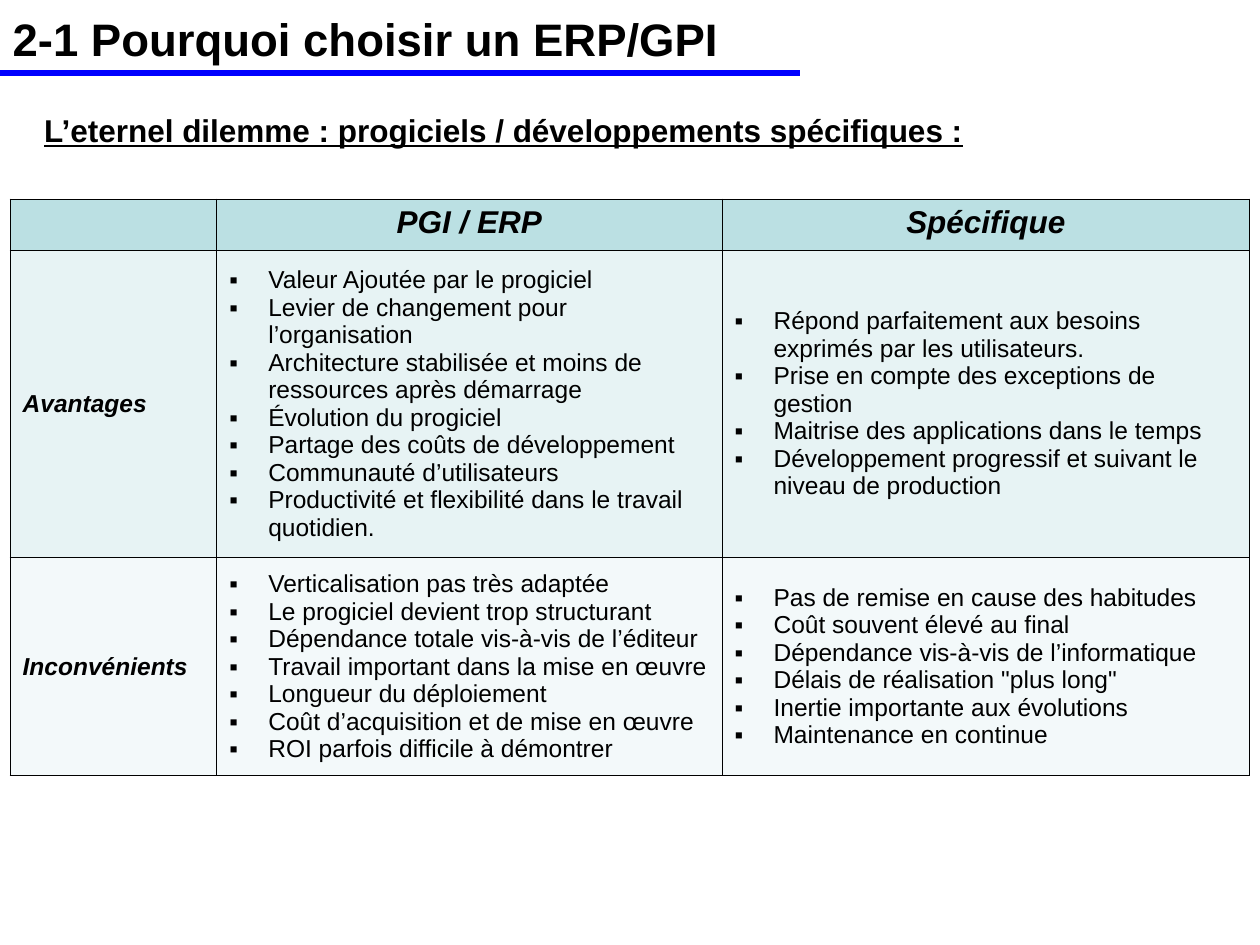
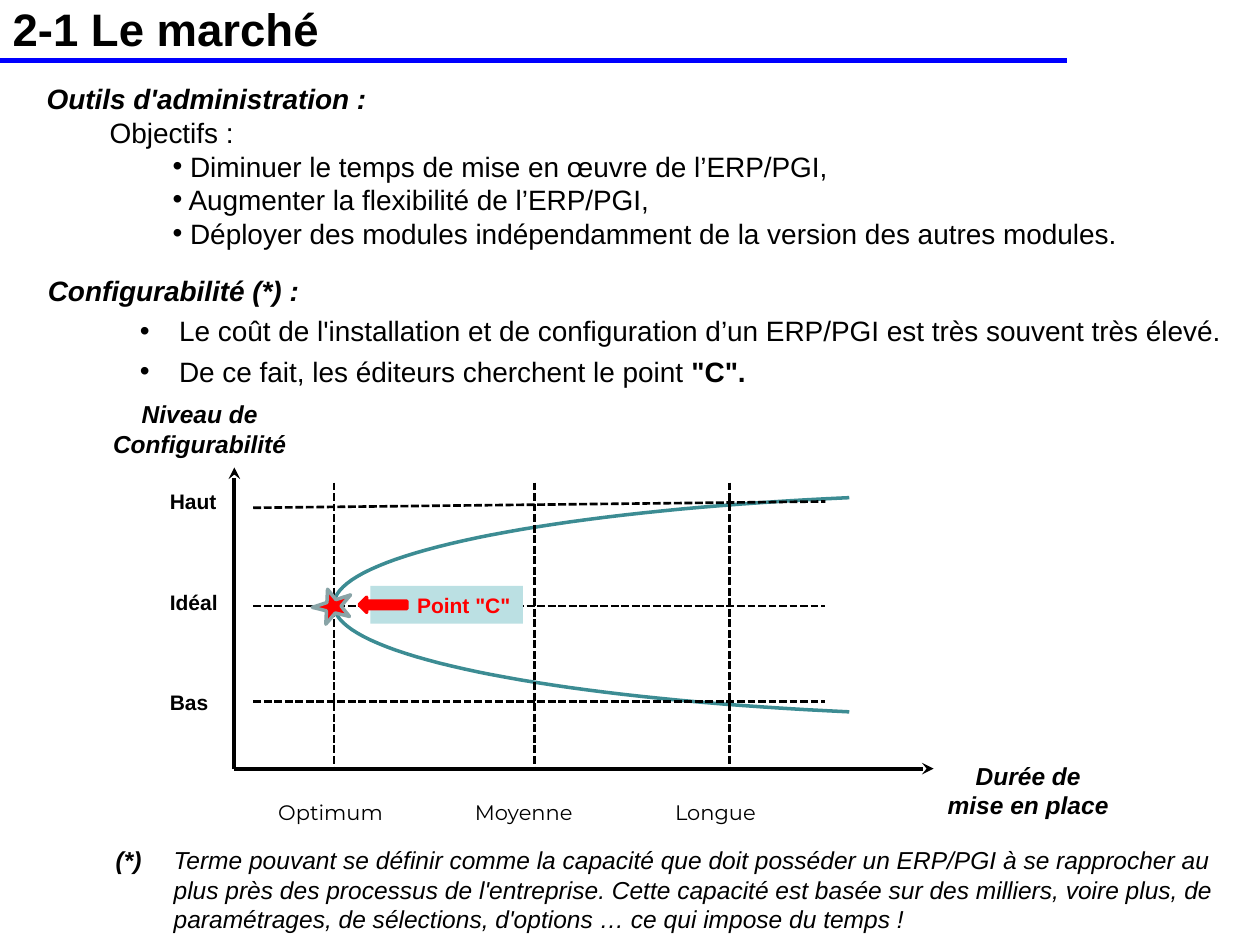
import math
from lxml import etree
from pptx import Presentation, util as u
from pptx.dml import color
from pptx.enum import dml, shapes, text
from pptx.oxml import ns

PX = 9144
BLACK, RED, BLUE = "000000", "FF0000", "0000FF"
AQUA, TEAL, GREY = "BBE0E3", "3C8C93", "89A4A7"
LEFT, MID, RIGHT = text.PP_ALIGN.LEFT, text.PP_ALIGN.CENTER, text.PP_ALIGN.RIGHT


def px(*vals):
    return [u.Emu(round(v * PX)) for v in vals]


def rgb(code):
    return color.RGBColor.from_string(code)


def node(up, tag, **attrs):
    return etree.SubElement(up, ns.qn(tag), attrs)


class Deck:
    font = "Arial"

    def __init__(self):
        self.prs = Presentation()
        self.prs.slide_width, self.prs.slide_height = px(1000, 750)
        self.slide = None

    def page(self, kind, title, high, rule, end):
        self.slide = self.prs.slides.add_slide(self.prs.slide_layouts[kind])
        self.holder(0, (0, 0, 1000, high), [dict(txt=title, size=26, bold=True)],
                    text.MSO_ANCHOR.MIDDLE)
        self.line(0, rule, end, rule, BLUE, 3)

    def holder(self, idx, box, paras, anchor=text.MSO_ANCHOR.TOP):
        hold = self.slide.placeholders[idx]
        hold.left, hold.top, hold.width, hold.height = px(*box)
        self.flow(hold.text_frame, paras, anchor)

    def flow(self, frame, paras, anchor=text.MSO_ANCHOR.TOP, wrap=True):
        frame.word_wrap = wrap
        frame.auto_size = text.MSO_AUTO_SIZE.NONE
        frame.vertical_anchor = anchor
        self.paras(frame, paras)

    def paras(self, frame, paras):
        for i, look in enumerate(paras):
            para = frame.add_paragraph() if i else frame.paragraphs[0]
            self.para(para, **look)

    def para(self, para, txt, size=14, bold=False, ital=False, under=None, tint=BLACK,
             face=None, align=LEFT, level=0, lead=0, hang=0, dot=None, above=0):
        para.level = level
        para.alignment = align
        para.space_before = u.Pt(above)
        ppr = para._p.get_or_add_pPr()
        ppr.set("marL", str(lead * PX))
        ppr.set("indent", str(hang * PX))
        if dot:
            node(node(ppr, "a:buClr"), "a:srgbClr", val=BLACK)
            node(ppr, "a:buFont", typeface=self.font)
            node(ppr, "a:buChar", char=dot)
        else:
            node(ppr, "a:buNone")
        for i, part in enumerate(txt.split("|")):
            if not part:
                continue
            run = para.add_run()
            run.text = part
            font = run.font
            font.name, font.size = face or self.font, u.Pt(size)
            font.bold, font.italic = bold != bool(i % 2), ital
            font.underline = under
            font.color.rgb = rgb(tint)

    def label(self, box, lines, wrap=True, **look):
        area = self.slide.shapes.add_textbox(*px(*box))
        paras = [dict(txt=t, **look) for t in lines]
        self.flow(area.text_frame, paras, wrap=wrap)

    def line(self, x1, y1, x2, y2, tint=BLACK, wide=1.5, dash=False, head=False):
        link = self.slide.shapes.add_connector(
            shapes.MSO_CONNECTOR.STRAIGHT, *px(x1, y1, x2, y2))
        link.line.color.rgb = rgb(tint)
        link.line.width = u.Pt(wide)
        if dash:
            link.line.dash_style = dml.MSO_LINE.SQUARE_DOT
        props = link._element.spPr
        if head:
            node(props.find(ns.qn("a:ln")), "a:tailEnd", type="stealth")
        node(props, "a:effectLst")

    def paint(self, shape, fill=None, edge=None):
        shape.shadow.inherit = False
        if fill:
            shape.fill.solid()
            shape.fill.fore_color.rgb = rgb(fill)
        else:
            shape.fill.background()
        if edge:
            shape.line.color.rgb = rgb(edge)
            shape.line.width = u.Pt(2)
        else:
            shape.line.fill.background()

    def shape(self, kind, box, fill, edge=None, turn=0):
        form = self.slide.shapes.add_shape(kind, *px(*box))
        form.rotation = turn
        self.paint(form, fill, edge)
        return form

    def curve(self, dots, tint):
        first, *rest = [px(*dot) for dot in dots]
        pen = self.slide.shapes.build_freeform(*first)
        pen.add_line_segments(rest, close=False)
        self.paint(pen.convert_to_shape(), edge=tint)

    def cell(self, cell, paras, fill, anchor):
        cell.vertical_anchor = anchor
        self.paras(cell.text_frame, paras)
        props = cell._tc.get_or_add_tcPr()
        for side in ("a:lnL", "a:lnR", "a:lnT", "a:lnB"):
            edge = node(props, side, w=str(u.Pt(0.45)))
            node(node(edge, "a:solidFill"), "a:srgbClr", val=BLACK)
        cell.fill.solid()
        cell.fill.fore_color.rgb = rgb(fill)

    def table(self, box, cols, rows, heads, body, fills):
        grid = self.slide.shapes.add_table(len(rows), len(cols), *px(*box)).table
        grid.first_row = grid.horz_banding = False
        for col, wide in zip(grid.columns, px(*cols)):
            col.width = wide
        for row, high in zip(grid.rows, px(*rows)):
            row.height = high
        bold = dict(bold=True, ital=True)
        for c, head in enumerate(heads):
            paras = [dict(txt=head, size=18, align=MID, **bold)]
            self.cell(grid.cell(0, c), paras, fills[0], text.MSO_ANCHOR.TOP)
        for r, (name, *lists) in enumerate(body, 1):
            sets = [[dict(txt=name, **bold)]]
            sets += [[dict(txt=t, lead=31, hang=-31, dot="▪") for t in items]
                     for items in lists]
            for c, paras in enumerate(sets):
                self.cell(grid.cell(r, c), paras, fills[r], text.MSO_ANCHOR.MIDDLE)


def choice(deck):
    deck.page(1, "2-1 Pourquoi choisir un ERP/GPI", 60, 58, 635)
    deck.holder(1, (25, 83, 942, 40), [dict(
        txt="L’eternel dilemme : progiciels / développements spécifiques :",
        size=18, bold=True, under=True)])
    body = [
        ("Avantages",
         ["Valeur Ajoutée par le progiciel",
          "Levier de changement pour l’organisation",
          "Architecture stabilisée et moins de ressources après démarrage",
          "Évolution du progiciel",
          "Partage des coûts de développement",
          "Communauté d’utilisateurs",
          "Productivité et flexibilité dans le travail quotidien."],
         ["Répond parfaitement aux besoins exprimés par les utilisateurs.",
          "Prise en compte des exceptions de gestion",
          "Maitrise des applications dans le temps",
          "Développement progressif et suivant le niveau de production"]),
        ("Inconvénients",
         ["Verticalisation pas très adaptée",
          "Le progiciel devient trop structurant",
          "Dépendance totale vis-à-vis de l’éditeur",
          "Travail important dans la mise en œuvre",
          "Longueur du déploiement",
          "Coût d’acquisition et de mise en œuvre",
          "ROI parfois difficile à démontrer"],
         ["Pas de remise en cause des habitudes",
          "Coût souvent élevé au final",
          "Dépendance vis-à-vis de l’informatique",
          "Délais de réalisation \"plus long\"",
          "Inertie importante aux évolutions",
          "Maintenance en continue"]),
    ]
    deck.table((8, 158, 984, 457), (164, 401, 419), (40, 244, 173),
               ("", "PGI / ERP", "Spécifique"), body, (AQUA, "E7F3F4", "F3F9FA"))


def market(deck):
    deck.page(3, "2-1 Le marché", 45, 48, 847)
    strong = dict(size=16, bold=True, ital=True)
    goal = dict(size=16, level=2, lead=98, hang=2, dot="•")
    deck.holder(1, (27, 60, 945, 144), [
        dict(txt="Outils d'administration :", **strong),
        dict(txt="Objectifs :", size=16, level=1, lead=50),
        dict(txt=" Diminuer le temps de mise en œuvre de l’ERP/PGI,", **goal),
        dict(txt=" Augmenter la flexibilité de l’ERP/PGI,", **goal),
        dict(txt=" Déployer des modules indépendamment de la version des autres modules.",
             **goal)])
    fact = dict(size=16, level=1, lead=98, hang=-25, dot="•", above=4)
    deck.holder(2, (28, 212, 972, 102), [
        dict(txt="Configurabilité (*) :", **strong),
        dict(txt=" Le coût de l'installation et de configuration d’un ERP/PGI "
                 "est très souvent très élevé.", **fact),
        dict(txt=" De ce fait, les éditeurs cherchent le point |\"C\".", **fact)])
    graph(deck)
    deck.label((28, 666, 952, 80), [
        "|(*)\t|Terme pouvant se définir comme la capacité que doit posséder un ERP/PGI "
        "à se rapprocher au plus près des processus de l'entreprise. Cette capacité est "
        "basée sur des milliers, voire plus, de paramétrages, de sélections, "
        "d'options … ce qui impose du temps !"], ital=True, lead=100, hang=-46)


def graph(deck):
    axis = dict(bold=True, ital=True, align=MID)
    deck.label((68, 312, 181, 57), ["Niveau de Configurabilité"], **axis)
    deck.label((742, 599, 148, 57), ["Durée de", "mise en place"], wrap=False, **axis)
    span = math.acos((832 - 674) / 567)
    turns = [span * i / 40 for i in range(-40, 41)]
    deck.curve([(832 - 567 * math.cos(t), 480 + 88.5 * math.sin(t)) for t in turns], TEAL)
    for name, top, y1, y2 in (("Haut", 383, 403, 398), ("Idéal", 463, 481, 481),
                              ("Bas", 542, 557, 557)):
        deck.label((125, top, 80, 30), [name], size=12, bold=True)
        deck.line(201, y1, 655, y2, dash=True)
    for name, left, wide, x in (("Optimum", 211, 126, 265), ("Moyenne", 367, 115, 424),
                                ("Longue", 526, 103, 579)):
        deck.label((left, 630, wide, 30), [name], size=12, face="Montserrat")
        deck.line(x, 383, x, 610, dash=True)
    for x, y in ((186, 371), (741, 610)):
        deck.line(186, 610, x, y, wide=2.25, head=True)
    kinds = shapes.MSO_SHAPE
    deck.shape(kinds.STAR_5_POINT, (248, 467, 32, 26), RED, GREY, -18)
    note = deck.shape(kinds.RECTANGLE, (294, 465, 121, 30), AQUA)
    deck.flow(note.text_frame, [dict(txt="Point \"C\"", size=12, bold=True,
                                     tint=RED, align=RIGHT)])
    deck.shape(kinds.LEFT_ARROW, (285, 474, 38, 12), RED, RED)


def main():
    deck = Deck()
    choice(deck)
    market(deck)
    deck.prs.save("out.pptx")


if __name__ == "__main__":
    main()
